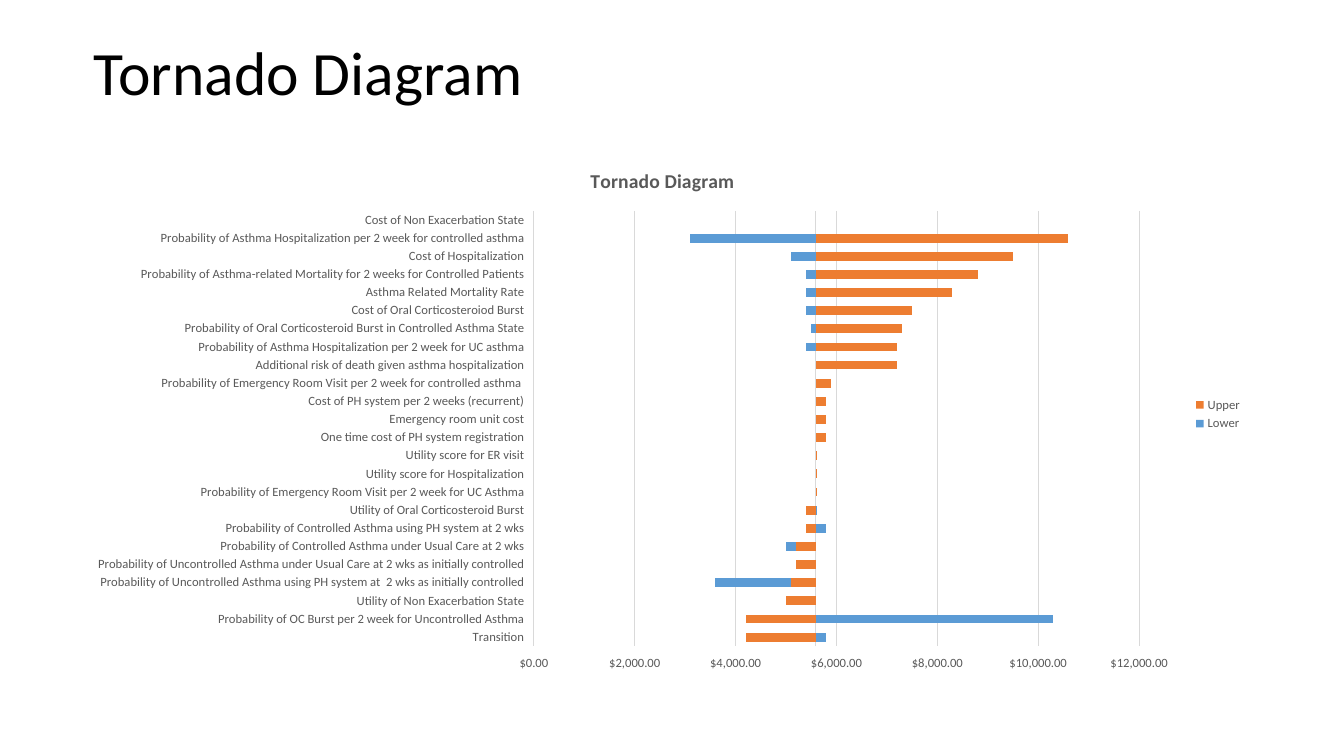
from lxml import etree
from pptx import Presentation
from pptx.chart.data import CategoryChartData
from pptx.dml.color import RGBColor
from pptx.enum import chart as charts, text
from pptx.oxml import ns
from pptx.util import Pt

PX = 9144  # 100 px to the inch
GREY, LIGHT_GREY = "595959", "D9D9D9"
BASE_COST = 5585


def format_font(font, size, color, bold=False):
    font.name, font.size, font.bold = "Calibri", Pt(size), bold
    font.color.rgb = RGBColor.from_string(color)


def place(element, index, **fractions):
    """Give a chart part a fixed place, in fractions of the chart's size."""
    for old_layout in element.findall(ns.qn("c:layout")):
        element.remove(old_layout)
    layout = etree.Element(ns.qn("c:layout"))
    manual = etree.SubElement(layout, ns.qn("c:manualLayout"))
    if "w" in fractions:
        etree.SubElement(manual, ns.qn("c:layoutTarget"), val="inner")
    for mode in ("xMode", "yMode"):
        etree.SubElement(manual, ns.qn(f"c:{mode}"), val="edge")
    for name, value in fractions.items():
        etree.SubElement(manual, ns.qn(f"c:{name}"), val=str(value))
    element.insert(index, layout)


# Label, lower and upper result, from the bottom row to the top
ROWS = [
    ("Transition", 5800, 4200),
    ("Probability of OC Burst per 2 week for Uncontrolled Asthma", 10300, 4200),
    ("Utility of Non Exacerbation State", 5000, 5000),
    ("Probability of Uncontrolled Asthma using PH system at  2 wks as initially controlled", 3600, 5100),
    ("Probability of Uncontrolled Asthma under Usual Care at 2 wks as initially controlled", 5300, 5200),
    ("Probability of Controlled Asthma under Usual Care at 2 wks", 5000, 5200),
    ("Probability of Controlled Asthma using PH system at 2 wks", 5800, 5400),
    ("Utility of Oral Corticosteroid Burst", 5600, 5400),
    ("Probability of Emergency Room Visit per 2 week for UC Asthma", 5600, 5600),
    ("Utility score for Hospitalization", 5600, 5600),
    ("Utility score for ER visit", 5600, 5600),
    ("One time cost of PH system registration", 5600, 5800),
    ("Emergency room unit cost", 5600, 5800),
    ("Cost of PH system per 2 weeks (recurrent)", 5600, 5800),
    ("Probability of Emergency Room Visit per 2 week for controlled asthma ", 5600, 5900),
    ("Additional risk of death given asthma hospitalization", 5800, 7200),
    ("Probability of Asthma Hospitalization per 2 week for UC asthma", 5400, 7200),
    ("Probability of Oral Corticosteroid Burst in Controlled Asthma State", 5500, 7300),
    ("Cost of Oral Corticosteroiod Burst", 5400, 7500),
    ("Asthma Related Mortality Rate", 5400, 8300),
    ("Probability of Asthma-related Mortality for 2 weeks for Controlled Patients", 5400, 8800),
    ("Cost of Hospitalization", 5100, 9500),
    ("Probability of Asthma Hospitalization per 2 week for controlled asthma", 3100, 10600),
    ("Cost of Non Exacerbation State", None, None),
]

presentation = Presentation()
presentation.slide_width, presentation.slide_height = 1333 * PX, 750 * PX
slide = presentation.slides.add_slide(presentation.slide_layouts[5])

title = slide.shapes.title
title.left, title.top, title.width, title.height = 83 * PX, 2 * PX, 1150 * PX, 145 * PX
title.text_frame.text = "Tornado Diagram"
title.text_frame.vertical_anchor = text.MSO_ANCHOR.MIDDLE
paragraph = title.text_frame.paragraphs[0]
paragraph.alignment = text.PP_ALIGN.LEFT
paragraph.line_spacing = 0.9
format_font(paragraph.runs[0].font, 44, "000000")

labels, lower, upper = zip(*ROWS)
data = CategoryChartData(number_format='"$"#,##0.00')
data.categories = labels
data.add_series("Lower", lower)
data.add_series("Upper", upper)
chart = slide.shapes.add_chart(
    charts.XL_CHART_TYPE.BAR_CLUSTERED, 74 * PX, 147 * PX, 1168 * PX, 528 * PX, data
).chart
format_font(chart.font, 10, "000000")

chart.has_title = True
chart.chart_title.text_frame.text = "Tornado Diagram"
format_font(chart.chart_title.text_frame.paragraphs[0].runs[0].font, 14, GREY, bold=True)
place(chart.chart_title._element, 1, x=0.435, y=0.03)
place(chart._chartSpace.chart.plotArea, 0, x=0.39, y=0.118, w=0.514, h=0.818)

plot = chart.plots[0]
plot.gap_width, plot.overlap, plot.vary_by_categories = 106, 100, False
for series, color in zip(plot.series, ("5B9BD5", "ED7D31")):
    series.invert_if_negative = False
    series.format.fill.solid()
    series.format.fill.fore_color.rgb = RGBColor.from_string(color)

category_axis, value_axis = chart.category_axis, chart.value_axis
for axis in (category_axis, value_axis):
    axis.major_tick_mark = axis.minor_tick_mark = charts.XL_TICK_MARK.NONE
    axis.tick_label_position = charts.XL_TICK_LABEL_POSITION.LOW
    format_font(axis.tick_labels.font, 9, GREY)

value_axis.minimum_scale, value_axis.maximum_scale = 0, 12000
value_axis.major_unit = 2000
value_axis.crosses_at = BASE_COST
value_axis.tick_labels.number_format = '"$"#,##0.00'
value_axis.tick_labels.number_format_is_linked = False
value_axis.format.line.fill.background()
value_axis.has_major_gridlines = True
category_axis.has_major_gridlines = False
for line in (category_axis.format.line, value_axis.major_gridlines.format.line):
    line.color.rgb = RGBColor.from_string(LIGHT_GREY)
    line.width = Pt(0.75)

chart.has_legend = True
chart.legend.position = charts.XL_LEGEND_POSITION.RIGHT
chart.legend.include_in_layout = False
format_font(chart.legend.font, 9, GREY)

presentation.save("out.pptx")
